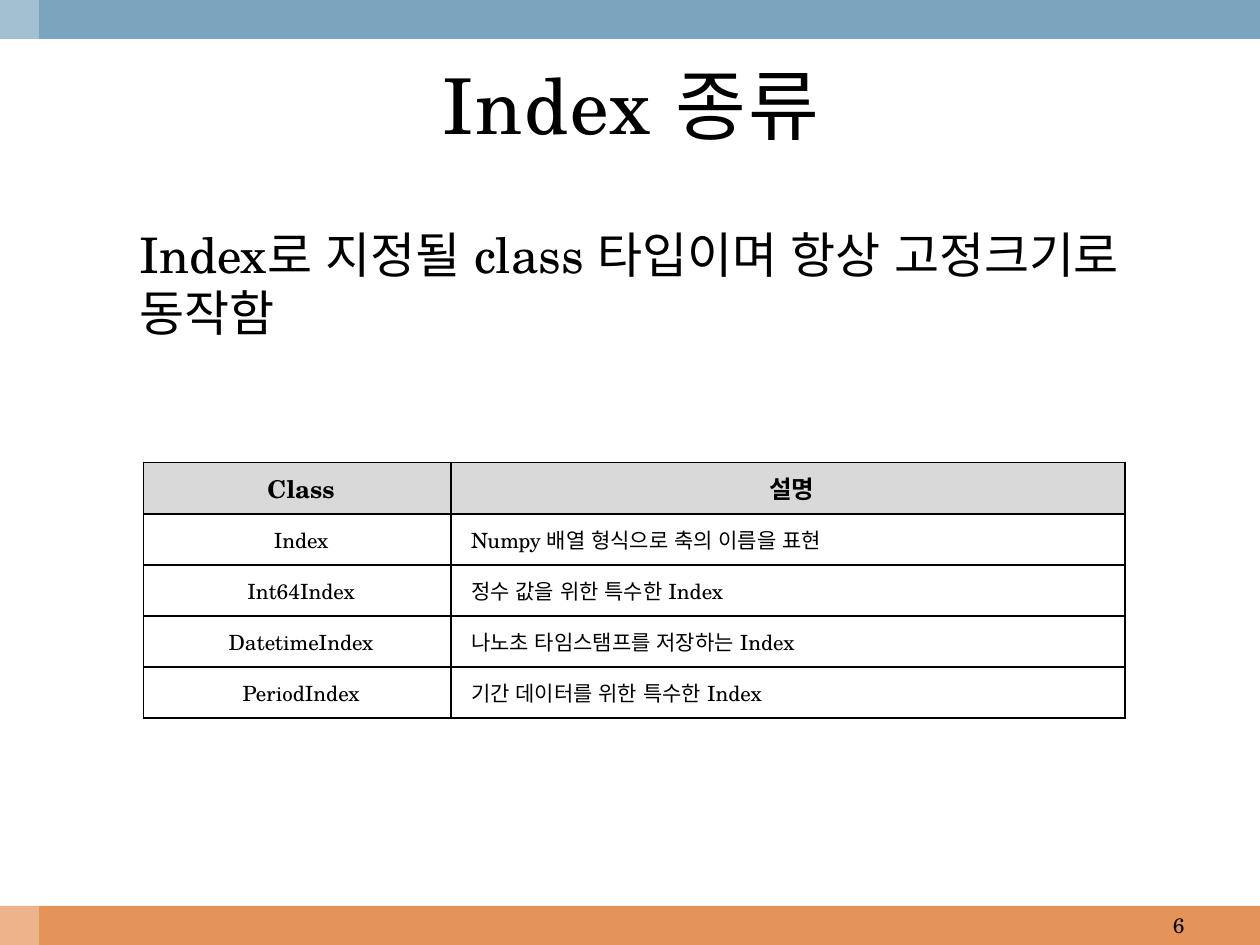
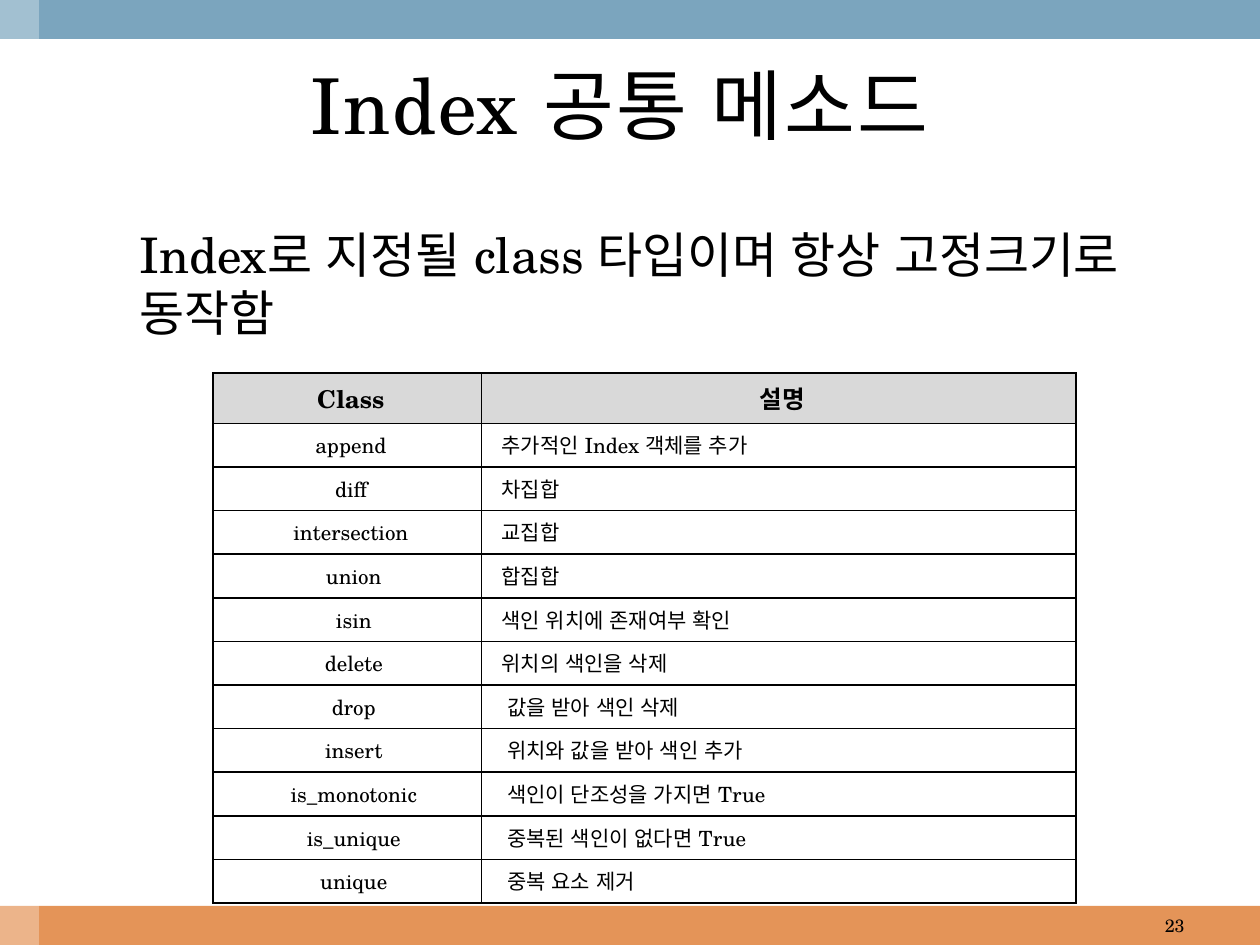
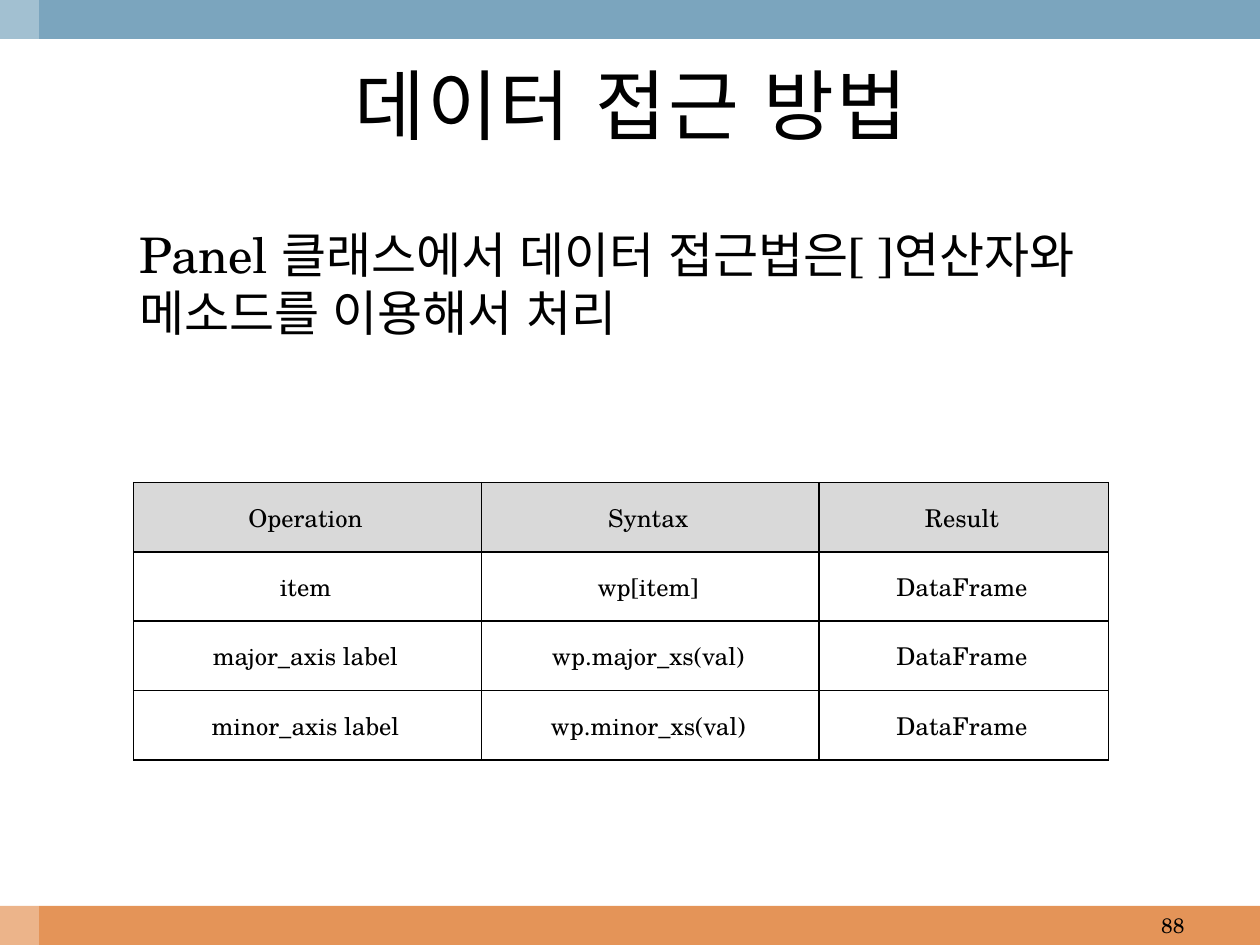
from lxml.etree import SubElement
from pptx import Presentation
from pptx.dml.color import RGBColor
from pptx.enum.shapes import MSO_SHAPE
from pptx.enum.text import MSO_ANCHOR as ANCHOR, MSO_AUTO_SIZE as AUTO_SIZE, PP_ALIGN as ALIGN
from pptx.oxml import parse_xml
from pptx.oxml.ns import nsdecls, qn
from pptx.util import Inches, Pt

FONT = "TeX Gyre Schola"
COLORS = {
    "text": "000000",
    "paper": "FFFFFF",
    "header": "D9D9D9",
    "top_band": "7BA5BE",
    "bottom_band": "E49458",
}
TITLE_ONLY = 5
BAND = 0.31
WIDE_MARGINS = (0.16, 0.05, 0.1, 0.05)
NARROW_MARGINS = (0.04, 0.01, 0.07, 0.01)

INDEX_SUMMARY = "Index로 지정될 class 타입이며 항상 고정크기로 동작함"
PANEL_SUMMARY = "Panel 클래스에서 데이터 접근법은[ ]연산자와 메소드를 이용해서 처리"

INDEX_CLASSES = [
    ("Class", "설명"),
    ("Index", "Numpy 배열 형식으로 축의 이름을 표현"),
    ("Int64Index", "정수 값을 위한 특수한 Index"),
    ("DatetimeIndex", "나노초 타임스탬프를 저장하는 Index"),
    ("PeriodIndex", "기간 데이터를 위한 특수한 Index"),
]
INDEX_METHODS = [
    ("Class", "설명"),
    ("append", "추가적인 Index 객체를 추가"),
    ("diff", "차집합"),
    ("intersection", "교집합"),
    (" union", "합집합"),
    (" isin", "색인 위치에 존재여부 확인"),
    (" delete", "위치의 색인을 삭제"),
    (" drop", " 값을 받아 색인 삭제"),
    (" insert", " 위치와 값을 받아 색인 추가"),
    (" is_monotonic", " 색인이 단조성을 가지면 True"),
    (" is_unique", " 중복된 색인이 없다면 True"),
    (" unique", " 중복 요소 제거"),
]
PANEL_ACCESS = [
    ("Operation", "Syntax", "Result"),
    ("item", "wp[item]", "DataFrame"),
    ("major_axis label", "wp.major_xs(val)", "DataFrame"),
    ("minor_axis label", "wp.minor_xs(val)", "DataFrame"),
]


def rgb(value):
    return RGBColor.from_string(value)


def fill_solid(target, color):
    target.fill.solid()
    target.fill.fore_color.rgb = rgb(color)


def place(shape, left, top, width, height):
    box = {"left": left, "top": top, "width": width, "height": height}
    for name, value in box.items():
        setattr(shape, name, Inches(value))


def write(frame, text, size, align=ALIGN.LEFT, bold=False):
    """Put one formatted paragraph in a text frame."""
    paragraph = frame.paragraphs[0]
    paragraph.alignment = align
    run = paragraph.add_run()
    run.text = text
    font_format = {"name": FONT, "size": Pt(size), "bold": bold}
    for name, value in font_format.items():
        setattr(run.font, name, value)
    run.font.color.rgb = rgb(COLORS["text"])


def set_east_asian_fonts(slide):
    """Use the Latin typeface of each run for its Korean text and spaces too."""
    for latin in list(slide.element.iter(qn("a:latin"))):
        latin.addnext(parse_xml(f'<a:ea {nsdecls("a")} typeface="{FONT}"/>'))


def add_band(slide, box, color, opacity=100):
    band = slide.shapes.add_shape(MSO_SHAPE.RECTANGLE, *map(Inches, box))
    band.shadow.inherit = False
    band.line.fill.background()
    fill_solid(band, color)
    if opacity < 100:
        color_node = next(band.element.iter(qn("a:srgbClr")))
        SubElement(color_node, qn("a:alpha")).set("val", str(opacity * 1000))
    return band


def add_layout_bands(slide):
    """Replace the layout's footer placeholders with the shared bands."""
    layout = slide.slide_layout
    for placeholder in list(layout.placeholders)[1:]:
        layout.shapes.element.remove(placeholder.element)
    bands = [
        add_band(slide, (0, 7.19, 10, BAND), COLORS["bottom_band"]),
        add_band(slide, (0, 0, 10, BAND), COLORS["top_band"]),
        add_band(slide, (0, 0, BAND, 7.5), COLORS["paper"], opacity=30),
    ]
    for band in bands:
        layout.shapes.element.append(band.element)


def format_title(slide, text):
    title = slide.shapes.title
    place(title, 0.33, 0.31, 9.36, 1.03)
    frame = title.text_frame
    frame.auto_size = AUTO_SIZE.NONE
    frame.vertical_anchor = ANCHOR.MIDDLE
    write(frame, text, 44, ALIGN.CENTER)
    next(title.element.iter(qn("a:rPr"))).set("spc", "100")


def add_text(slide, box, text, size, align=ALIGN.LEFT, anchor=ANCHOR.TOP):
    shape = slide.shapes.add_textbox(*map(Inches, box))
    frame = shape.text_frame
    frame.word_wrap = True
    frame.vertical_anchor = anchor
    write(frame, text, size, align)
    return shape


def add_summary(slide, text, height):
    summary = add_text(slide, (0.51, 1.73, 9, height), text, 28)
    properties = next(summary.element.iter(qn("a:pPr")))
    properties.set("marL", str(Inches(0.5)))
    properties.set("indent", "0")


def add_borders(table_shape):
    for properties in table_shape.element.iter(qn("a:tcPr")):
        for position, side in enumerate(("lnL", "lnR", "lnT", "lnB")):
            border = parse_xml(
                f'<a:{side} {nsdecls("a")} w="{Pt(1)}"><a:solidFill>'
                f'<a:srgbClr val="{COLORS["text"]}"/></a:solidFill></a:{side}>'
            )
            properties.insert(position, border)


def format_cell(cell, text, margins, fill, **text_format):
    sides = ("margin_left", "margin_top", "margin_right", "margin_bottom")
    for side, margin in zip(sides, margins):
        setattr(cell, side, Inches(margin))
    cell.vertical_anchor = ANCHOR.MIDDLE
    fill_solid(cell, fill)
    write(cell.text_frame, text, **text_format)


def add_grid(slide, rows, left, top, widths, height, header_height,
             margins=WIDE_MARGINS, body_size=12, bold_header=True,
             last_align=ALIGN.LEFT):
    """Add a bordered table: a header row, then equal rows filling the height."""
    body_count = len(rows) - 1
    row_height = (height - header_height) / body_count
    heights = [header_height] + [row_height] * body_count
    box = (left, top, sum(widths), height)
    table_shape = slide.shapes.add_table(len(rows), len(widths), *map(Inches, box))
    table = table_shape.table
    table.first_row = table.horz_banding = False
    for column, width in zip(table.columns, widths):
        column.width = Inches(width)
    for row, row_size in zip(table.rows, heights):
        row.height = Inches(row_size)
    for row_index, texts in enumerate(rows):
        header = row_index == 0
        for column_index, text in enumerate(texts):
            last = column_index == len(texts) - 1
            format_cell(
                table.cell(row_index, column_index), text, margins,
                COLORS["header"] if header else COLORS["paper"],
                size=14 if header else body_size,
                align=last_align if last and not header else ALIGN.CENTER,
                bold=header and bold_header,
            )
    add_borders(table_shape)


def add_content_slide(presentation, title, summary, number, number_size=12,
                      summary_height=1):
    slide = presentation.slides.add_slide(presentation.slide_layouts[TITLE_ONLY])
    format_title(slide, title)
    add_summary(slide, summary, summary_height)
    add_text(slide, (7.17, 7.19, 2.33, BAND), number, number_size,
             ALIGN.RIGHT, ANCHOR.MIDDLE)
    return slide


def main():
    presentation = Presentation()
    presentation.slide_width = Inches(10)
    presentation.slide_height = Inches(7.5)

    classes = add_content_slide(presentation, "Index 종류", INDEX_SUMMARY, "6")
    add_layout_bands(classes)
    add_grid(classes, INDEX_CLASSES, 1.14, 3.67, (2.44, 5.35), 2.03, 0.41)

    methods = add_content_slide(presentation, "Index 공통 메소드 ", INDEX_SUMMARY,
                                "23", number_size=10.2)
    add_grid(methods, INDEX_METHODS, 1.69, 2.96, (2.13, 4.72), 4.21, 0.4)

    access = add_content_slide(presentation, "데이터 접근 방법", PANEL_SUMMARY, "88",
                               summary_height=1.24)
    add_grid(access, PANEL_ACCESS, 1.06, 3.83, (2.76, 2.68, 2.3), 2.2, 0.55,
             margins=NARROW_MARGINS, body_size=14, bold_header=False,
             last_align=ALIGN.CENTER)

    for slide in presentation.slides:
        set_east_asian_fonts(slide)
    presentation.save("out.pptx")


if __name__ == "__main__":
    main()
